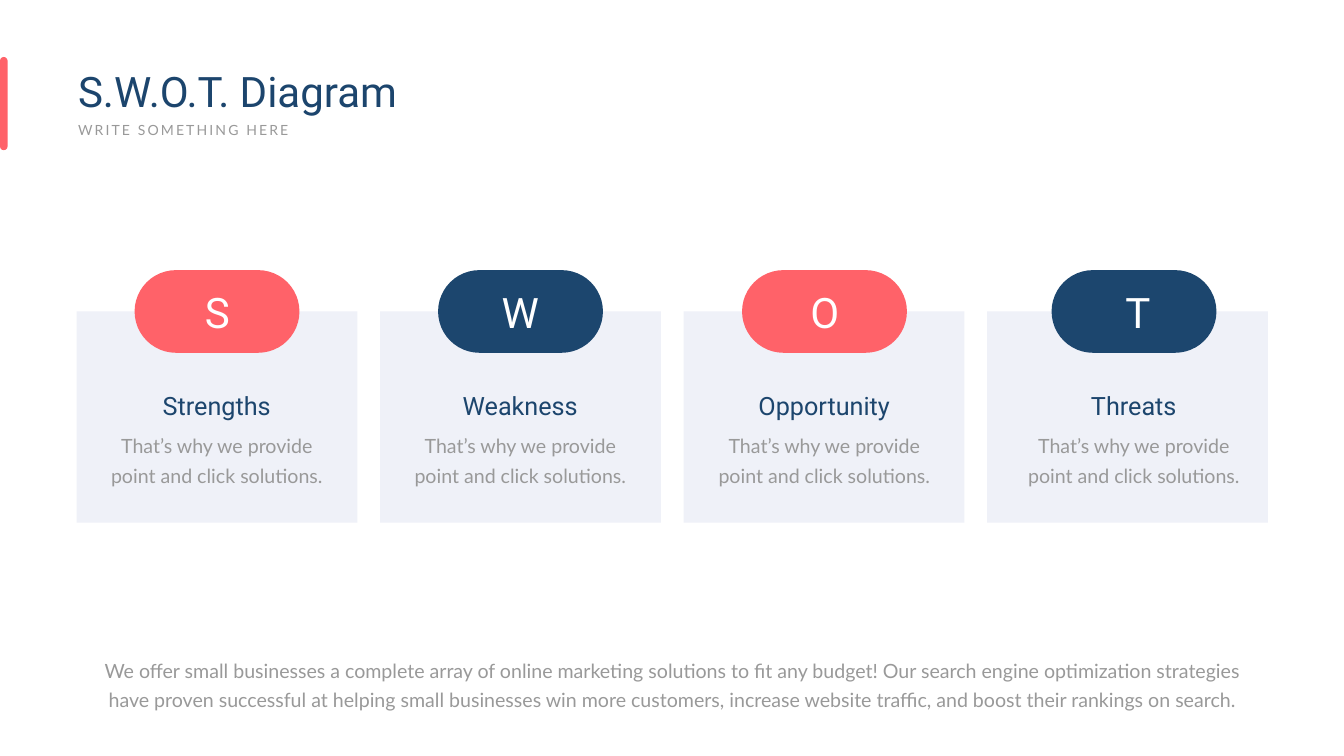
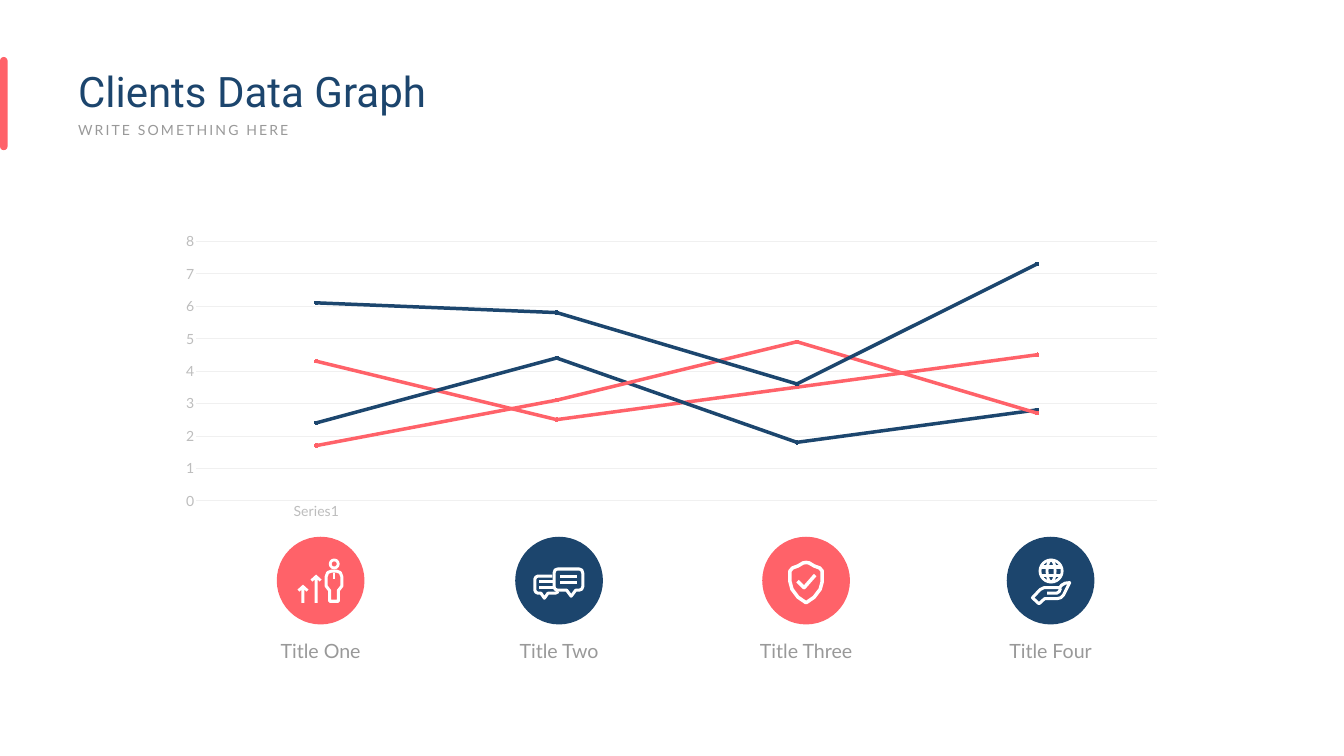
from lxml import etree
from pptx import Presentation
from pptx.chart.data import CategoryChartData
from pptx.dml.color import RGBColor
from pptx.enum.chart import XL_CHART_TYPE, XL_MARKER_STYLE, XL_TICK_MARK
from pptx.enum.shapes import MSO_CONNECTOR, MSO_SHAPE
from pptx.enum.text import MSO_AUTO_SIZE, PP_ALIGN
from pptx.oxml.ns import qn
from pptx.util import Inches, Pt

LINE_CHART = XL_CHART_TYPE.LINE_MARKERS
CIRCLE_MARKER = XL_MARKER_STYLE.CIRCLE
NO_TICK = XL_TICK_MARK.NONE
STRAIGHT = MSO_CONNECTOR.STRAIGHT
RECTANGLE = MSO_SHAPE.RECTANGLE
ROUNDED = MSO_SHAPE.ROUNDED_RECTANGLE
OVAL = MSO_SHAPE.OVAL
FIT_SHAPE = MSO_AUTO_SIZE.SHAPE_TO_FIT_TEXT
LEFT, CENTER = PP_ALIGN.LEFT, PP_ALIGN.CENTER

WHITE = RGBColor(0xFF, 0xFF, 0xFF)
CORAL = RGBColor(0xFF, 0x62, 0x69)
NAVY = RGBColor(0x1C, 0x46, 0x6E)
TITLE_NAVY = RGBColor(0x1C, 0x45, 0x6D)
PALE = RGBColor(0xEF, 0xF1, 0xF8)
GRAY = RGBColor(0x99, 0x99, 0x99)
AXIS_GRAY = RGBColor(0xBD, 0xBD, 0xBD)
GRID_GRAY = RGBColor(0xF0, 0xF0, 0xF0)
HEADING_FONT, BODY_FONT = "Roboto", "Lato"

CARD_LEFT, CARD_STEP = 1.52, 6.02
CARD_TEXT = "That’s why we provide point and click solutions."
CARDS = [
    ("S", "Strengths", CORAL, 4.3, 4.31),
    ("W", "Weakness", NAVY, 10.32, 10.32),
    ("O", "Opportunity", CORAL, 16.35, 16.36),
    ("T", "Threats", NAVY, 22.49, 22.57),
]
SUMMARY = (
    "We offer small businesses a complete array of online marketing solutions "
    "to fit any budget! Our search engine optimization strategies have proven "
    "successful at helping small businesses win more customers, increase website "
    "traffic, and boost their rankings on search."
)
CATEGORIES = ["Series1", "", "", ""]
SERIES = [
    ("Series 1", (4.3, 2.5, 3.5, 4.5), CORAL),
    ("Series 2", (2.4, 4.4, 1.8, 2.8), NAVY),
    ("Series 3", (1.7, 3.1, 4.9, 2.7), CORAL),
    ("Series 4", (6.1, 5.8, 3.6, 7.3), NAVY),
]
PLOT_LAYOUT = {"x": 0.03, "y": 0.05, "w": 0.95, "h": 0.87}


class SlideWriter:
    """Draws styled elements on the current slide of a deck."""

    def __init__(self):
        self.deck = Presentation()
        self.deck.slide_width = Inches(26.66)
        self.deck.slide_height = Inches(15)
        self.page = None

    def start_page(self, title):
        """Add a slide with the accent bar, title and subtitle."""
        self.page = self.deck.slides.add_slide(self.deck.slide_layouts[6])
        background = self.page.background.fill
        background.solid()
        background.fore_color.rgb = WHITE
        self.text(title, 1.45, 1.25, 9.76, 1.11, 60, TITLE_NAVY, HEADING_FONT, LEFT)
        self.text("WRITE SOMETHING HERE", 1.45, 2.36, 5.85, 0.44, 20, align=LEFT, tracking=3)
        self.shape(ROUNDED, -0.85, 1.98, 1.85, 0.15, CORAL).rotation = 90

    def text(self, words, left, top, width, height, size, color=GRAY,
             font=BODY_FONT, align=CENTER, leading=None, tracking=None):
        """Add a one-paragraph text box."""
        box = self.page.shapes.add_textbox(
            Inches(left), Inches(top), Inches(width), Inches(height))
        frame = box.text_frame
        frame.word_wrap = True
        frame.auto_size = FIT_SHAPE
        para = frame.paragraphs[0]
        span = para.add_run()
        span.text = words
        para.alignment = align
        para.font.name = font
        para.font.size = Pt(size)
        para.font.color.rgb = color
        if leading:
            para.line_spacing = Pt(leading)
        if tracking:
            span._r.get_or_add_rPr().set("spc", str(tracking * 100))

    def centered_text(self, words, center, top, width, height, size, **style):
        """Add a text box placed by its horizontal center."""
        self.text(words, center - width / 2, top, width, height, size, **style)

    def paint(self, shape, color):
        """Fill a shape and remove its outline and shadow."""
        shape.shadow.inherit = False
        shape.fill.solid()
        shape.fill.fore_color.rgb = color
        shape.line.fill.background()

    def shape(self, kind, left, top, width, height, color):
        """Add a filled preset shape without an outline."""
        shape = self.page.shapes.add_shape(
            kind, Inches(left), Inches(top), Inches(width), Inches(height))
        self.paint(shape, color)
        if kind == ROUNDED:
            shape.adjustments[0] = 0.5
        return shape

    def outline(self, shape, weight):
        """Turn a shape into a white outline."""
        shape.shadow.inherit = False
        shape.fill.background()
        shape.line.color.rgb = WHITE
        shape.line.width = Pt(weight)

    def ring(self, x, y, x_radius, y_radius, weight=4):
        """Add a white ellipse outline around a center."""
        ring = self.shape(OVAL, x - x_radius, y - y_radius, 2 * x_radius, 2 * y_radius, WHITE)
        self.outline(ring, weight)

    def freeform(self, points, close=True):
        """Add an unstyled freeform through points."""
        corners = [(Inches(x), Inches(y)) for x, y in points]
        builder = self.page.shapes.build_freeform(*corners[0])
        builder.add_line_segments(corners[1:], close=close)
        return builder.convert_to_shape()

    def outline_path(self, points, close=True, weight=4.3):
        """Add a white outline through points."""
        self.outline(self.freeform(points, close), weight)

    def up_arrow(self, x, top, bottom):
        """Add a solid white arrow pointing up."""
        right_half = [(0, top), (0.11, top + 0.1), (0.07, top + 0.14),
                      (0.03, top + 0.1), (0.03, bottom)]
        left_half = [(-dx, y) for dx, y in right_half[:0:-1]]
        points = [(x + dx, y) for dx, y in right_half + left_half]
        self.paint(self.freeform(points), WHITE)

    def stroke(self, x1, y1, x2, y2, weight=4.3):
        """Add a straight white line."""
        line = self.page.shapes.add_connector(
            STRAIGHT, Inches(x1), Inches(y1), Inches(x2), Inches(y2))
        line.line.color.rgb = WHITE
        line.line.width = Pt(weight)
        etree.SubElement(line._element.spPr, qn("a:effectLst"))

    def line_chart(self, left, top, width, height):
        """Add the line chart of all series."""
        data = CategoryChartData()
        data.categories = CATEGORIES
        for name, values, _ in SERIES:
            data.add_series(name, values)
        chart = self.page.shapes.add_chart(
            LINE_CHART, Inches(left), Inches(top), Inches(width), Inches(height), data).chart
        chart.has_legend = False
        chart.has_title = False
        chart.font.name = BODY_FONT
        chart.font.size = Pt(20)
        chart.font.color.rgb = GRAY
        chart.plots[0].vary_by_categories = False
        for series, (_, _, color) in zip(chart.plots[0].series, SERIES):
            series.smooth = False
            series.format.line.color.rgb = color
            series.format.line.width = Pt(5)
            marker = series.marker
            marker.style = CIRCLE_MARKER
            marker.size = 5
            marker.format.fill.solid()
            marker.format.fill.fore_color.rgb = color
            marker.format.line.color.rgb = color
        for axis in (chart.category_axis, chart.value_axis):
            axis.major_tick_mark = NO_TICK
            axis.minor_tick_mark = NO_TICK
            label_font = axis.tick_labels.font
            label_font.name = BODY_FONT
            label_font.size = Pt(20)
            label_font.color.rgb = AXIS_GRAY
        values_axis = chart.value_axis
        values_axis.minimum_scale, values_axis.maximum_scale = 0, 8
        values_axis.major_unit = 1
        values_axis.format.line.fill.background()
        values_axis.has_major_gridlines = True
        for lines in (values_axis.major_gridlines, chart.category_axis):
            lines.format.line.color.rgb = GRID_GRAY
            lines.format.line.width = Pt(0.75)
        self.fix_plot_area(chart)

    def fix_plot_area(self, chart):
        """Give the inner plot area its manual layout."""
        plot_area = chart._chartSpace.find(".//" + qn("c:plotArea"))
        for automatic in plot_area.findall(qn("c:layout")):
            plot_area.remove(automatic)
        layout = etree.Element(qn("c:layout"))
        plot_area.insert(0, layout)
        manual = etree.SubElement(layout, qn("c:manualLayout"))
        settings = {"layoutTarget": "inner", "xMode": "edge", "yMode": "edge", **PLOT_LAYOUT}
        for name, value in settings.items():
            etree.SubElement(manual, qn("c:" + name)).set("val", str(value))


def draw_growth(writer):
    """Draw a person beside two rising arrows."""
    writer.ring(6.63, 11.19, 0.08, 0.08)
    writer.outline_path([
        (6.47, 11.44), (6.5, 11.36), (6.58, 11.33), (6.67, 11.33), (6.75, 11.36),
        (6.78, 11.44), (6.78, 11.63), (6.71, 11.72), (6.71, 11.93), (6.54, 11.93),
        (6.54, 11.72), (6.47, 11.63)])
    writer.stroke(6.63, 11.36, 6.63, 11.49, 3.6)
    writer.up_arrow(6.27, 11.4, 11.96)
    writer.up_arrow(6.01, 11.6, 11.96)


def draw_chat(writer):
    """Draw two overlapping speech bubbles."""
    writer.outline_path([
        (11.06, 11.29), (11.49, 11.29), (11.54, 11.31), (11.56, 11.37), (11.56, 11.64),
        (11.54, 11.69), (11.49, 11.71), (11.42, 11.71), (11.33, 11.83), (11.24, 11.71),
        (11.06, 11.71), (11.01, 11.69), (10.99, 11.64), (10.99, 11.37), (11.01, 11.31)])
    writer.outline_path([
        (10.96, 11.43), (10.67, 11.43), (10.63, 11.45), (10.61, 11.49), (10.61, 11.71),
        (10.63, 11.75), (10.67, 11.77), (10.73, 11.77), (10.8, 11.87), (10.87, 11.77),
        (11.02, 11.77), (11.08, 11.74)], False)
    for left, right, top in ((11.11, 11.44, 11.43), (10.7, 10.96, 11.54)):
        for y in (top, top + 0.12):
            writer.stroke(left, y, right, y)


def draw_shield(writer):
    """Draw a shield with a check mark."""
    middle = 15.99
    right_half = [(0, 11.16), (0.06, 11.17), (0.16, 11.23), (0.27, 11.27), (0.32, 11.33),
                  (0.32, 11.54), (0.28, 11.69), (0.16, 11.85), (0, 11.96)]
    left_half = [(-x, y) for x, y in right_half[-2:0:-1]]
    writer.outline_path([(middle + x, y) for x, y in right_half + left_half], weight=5)
    writer.outline_path([(15.82, 11.53), (15.95, 11.66), (16.17, 11.41)], False, 5)


def draw_globe(writer):
    """Draw a globe above an open hand."""
    for x_radius in (0.22, 0.08):
        writer.ring(20.85, 11.33, x_radius, 0.22)
    for y in (11.25, 11.41):
        writer.stroke(20.65, y, 21.05, y)
    writer.outline_path([
        (20.48, 11.86), (20.63, 11.7), (20.71, 11.66), (21.02, 11.66), (21.06, 11.61),
        (21.13, 11.57), (21.22, 11.56), (21.1, 11.8), (21.04, 11.86), (20.96, 11.88),
        (20.72, 11.88), (20.61, 11.98)])
    writer.outline_path([(20.77, 11.77), (20.96, 11.77), (21.01, 11.74), (21.04, 11.67)], False)


TOPICS = [
    ("Title One", 6.36, CORAL, draw_growth),
    ("Title Two", 11.09, TITLE_NAVY, draw_chat),
    ("Title Three", 15.99, CORAL, draw_shield),
    ("Title Four", 20.84, TITLE_NAVY, draw_globe),
]


def build_swot(writer):
    """Build the four-card diagram."""
    writer.start_page("S.W.O.T. Diagram")
    for index, (letter, heading, color, center, letter_center) in enumerate(CARDS):
        writer.shape(RECTANGLE, CARD_LEFT + index * CARD_STEP, 6.18, 5.57, 4.19, PALE)
        writer.shape(ROUNDED, center - 1.63, 5.36, 3.27, 1.64, color)
        writer.centered_text(letter, letter_center, 5.64, 2.06, 1.11, 60,
                             color=WHITE, font=HEADING_FONT)
        writer.centered_text(heading, center, 7.69, 3.46, 0.71, 36,
                             color=TITLE_NAVY, font=HEADING_FONT)
        writer.centered_text(CARD_TEXT, center, 8.43, 4.93, 1.25, 28, leading=43)
    writer.text(SUMMARY, 1.91, 12.93, 22.84, 1.19, 28, leading=40.8)


def build_clients(writer):
    """Build the client chart with its icon row."""
    writer.start_page("Clients Data Graph")
    writer.line_chart(3.29, 4.49, 20.07, 5.92)
    for title, center, color, draw_icon in TOPICS:
        writer.shape(OVAL, center - 0.87, 10.65, 1.74, 1.74, color)
        draw_icon(writer)
        writer.centered_text(title, center, 12.63, 3.16, 0.57, 28)


def main():
    """Build and save the deck."""
    writer = SlideWriter()
    build_swot(writer)
    build_clients(writer)
    writer.deck.save("out.pptx")


if __name__ == "__main__":
    main()
